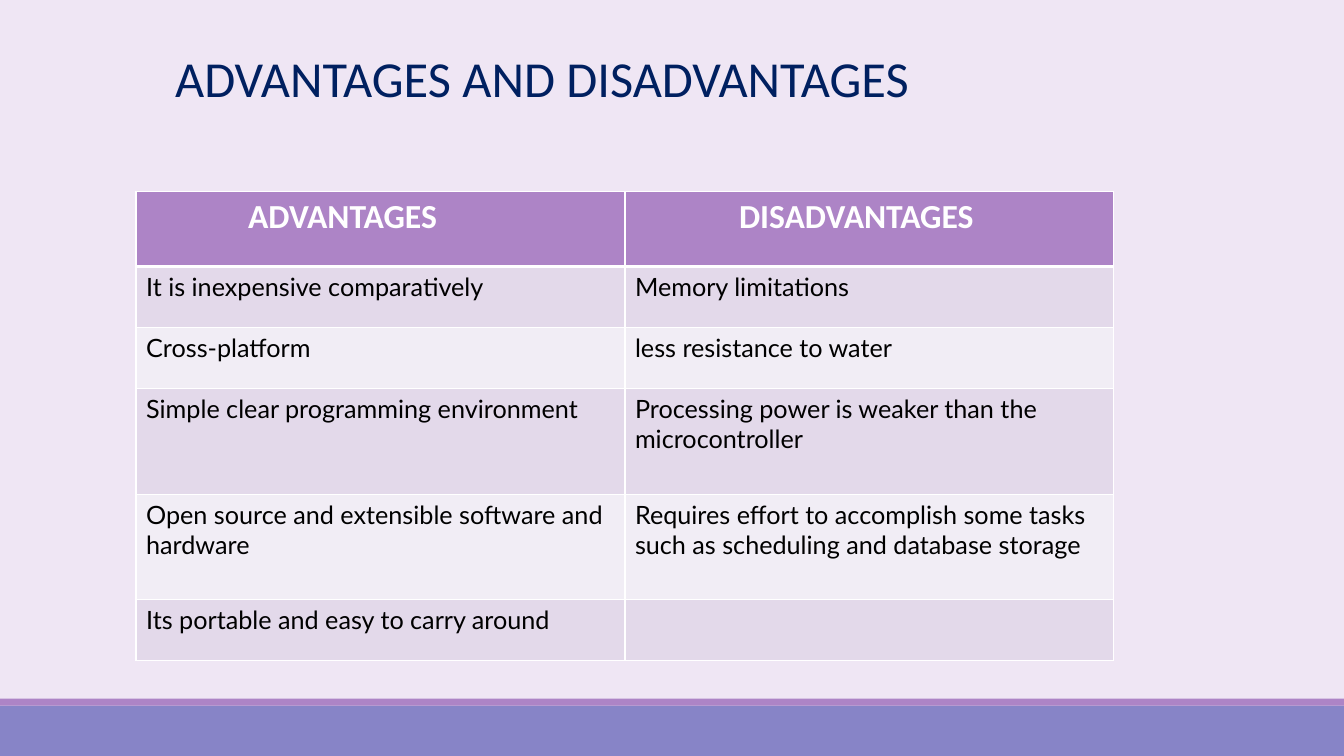
from lxml import etree
from pptx import Presentation
from pptx.dml.color import RGBColor
from pptx.enum.shapes import MSO_SHAPE
from pptx.oxml.ns import qn
from pptx.util import Pt

RECTANGLE = MSO_SHAPE.RECTANGLE
COLORS = {
    "background": "EFE6F4", "footer": "8784C7", "accent": "AD84C6",
    "title": "002060", "white": "FFFFFF", "body": "000000",
    "odd_row": "E3D9EA", "even_row": "F1EDF5",
}
TITLE_FONT = {"name": "Calibri", "size": Pt(36), "bold": False}
HEADER_FONT = {"name": "Calibri", "size": Pt(24), "bold": True}
BODY_FONT = {"name": "Lato", "size": Pt(18), "bold": False}


def write(frame, text, font_format, color):
    """Put text in a frame with the given font values and colour."""
    paragraph = frame.paragraphs[0]
    paragraph.text = text
    for attribute, value in font_format.items():
        setattr(paragraph.font, attribute, value)
    paragraph.font.color.rgb = RGBColor.from_string(COLORS[color])


def add_borders(cell, bottom_width):
    """Give a cell white borders, 1 pt except at the bottom."""
    properties = cell._tc.get_or_add_tcPr()
    sides = {"a:lnL": 1, "a:lnR": 1, "a:lnT": 1, "a:lnB": bottom_width}
    for position, (side, width) in enumerate(sides.items()):
        border = etree.Element(qn(side), w=str(Pt(width)))
        fill = etree.SubElement(border, qn("a:solidFill"))
        etree.SubElement(fill, qn("a:srgbClr"), val=COLORS["white"])
        properties.insert(position, border)


deck = Presentation()
deck.slide_width, deck.slide_height = Pt(960), Pt(540)
slide = deck.slides.add_slide(deck.slide_layouts[6])
slide.background.fill.solid()
slide.background.fill.fore_color.rgb = RGBColor.from_string(COLORS["background"])

# Footer bands
for top, height, color in [(504, 36, "footer"), (499, 5, "accent")]:
    band = slide.shapes.add_shape(RECTANGLE, 0, Pt(top), Pt(960), Pt(height))
    band.shadow.inherit = False
    band.fill.solid()
    band.fill.fore_color.rgb = RGBColor.from_string(COLORS[color])
    band.line.fill.background()

title = slide.shapes.add_textbox(Pt(118), Pt(30), Pt(735), Pt(51))
title.text_frame.word_wrap = True
write(title.text_frame, "ADVANTAGES AND DISADVANTAGES", TITLE_FONT, "title")

# Comparison table
comparison = [
    ("ADVANTAGES", "DISADVANTAGES"),
    ("It is inexpensive comparatively", "Memory limitations"),
    ("Cross-platform", "less resistance to water"),
    ("Simple clear programming environment",
     "Processing power is weaker than the microcontroller"),
    ("Open source and extensible software and hardware",
     "Requires effort to accomplish some tasks such as scheduling and database storage"),
    ("Its portable and easy to carry around", ""),
]
row_heights = [53.6, 43.6, 43.6, 75.4, 75.4, 43.6]
header_indents = [80, 81.5]

table = slide.shapes.add_table(
    len(comparison), 2, Pt(97.2), Pt(136.8), Pt(698.4), Pt(sum(row_heights))).table
for column in table.columns:
    column.width = Pt(349.2)

for row_index, (texts, height) in enumerate(zip(comparison, row_heights)):
    table.rows[row_index].height = Pt(height)
    is_header = row_index == 0
    if is_header:
        row_fill, font_format, text_color = "accent", HEADER_FONT, "white"
    else:
        row_fill = "odd_row" if row_index % 2 else "even_row"
        font_format, text_color = BODY_FONT, "body"
    for column_index, text in enumerate(texts):
        cell = table.cell(row_index, column_index)
        write(cell.text_frame, text, font_format, text_color)
        cell.fill.solid()
        cell.fill.fore_color.rgb = RGBColor.from_string(COLORS[row_fill])
        if is_header:
            cell.margin_left = Pt(header_indents[column_index])
        add_borders(cell, 3 if is_header else 1)

deck.save("out.pptx")
